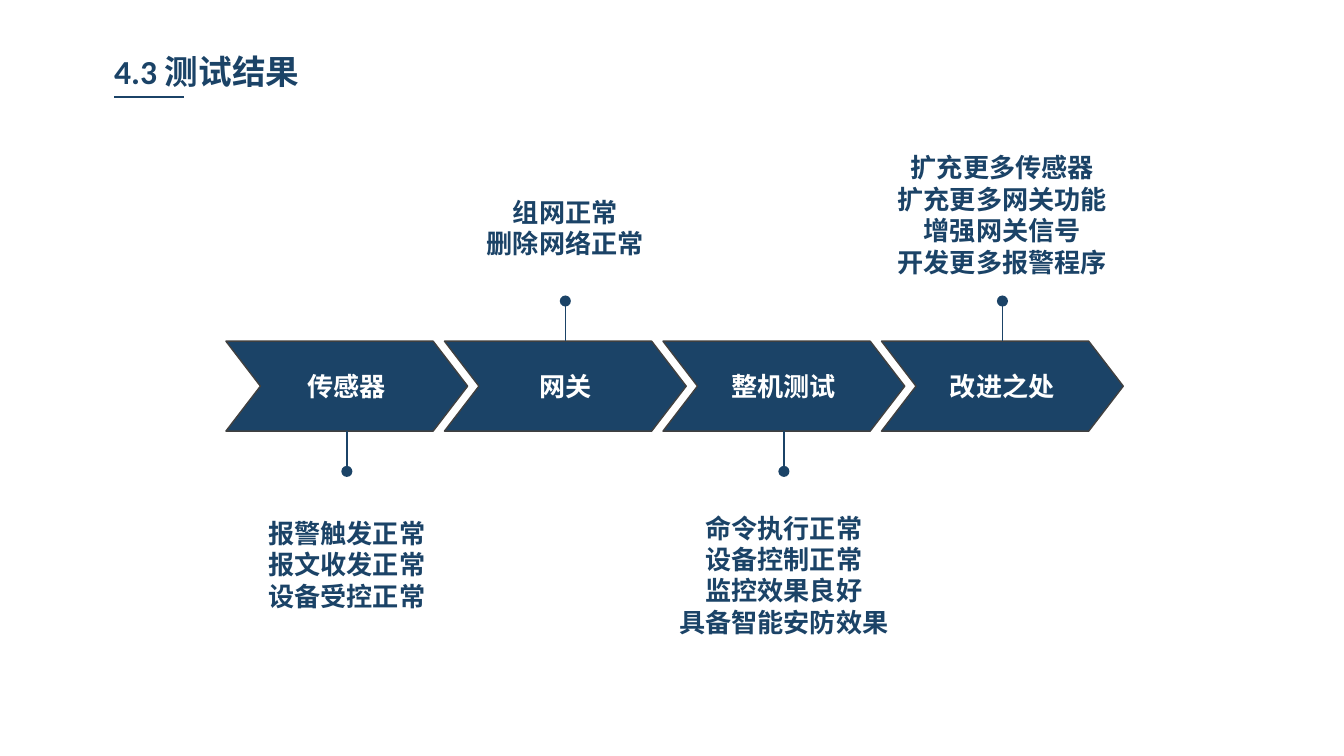
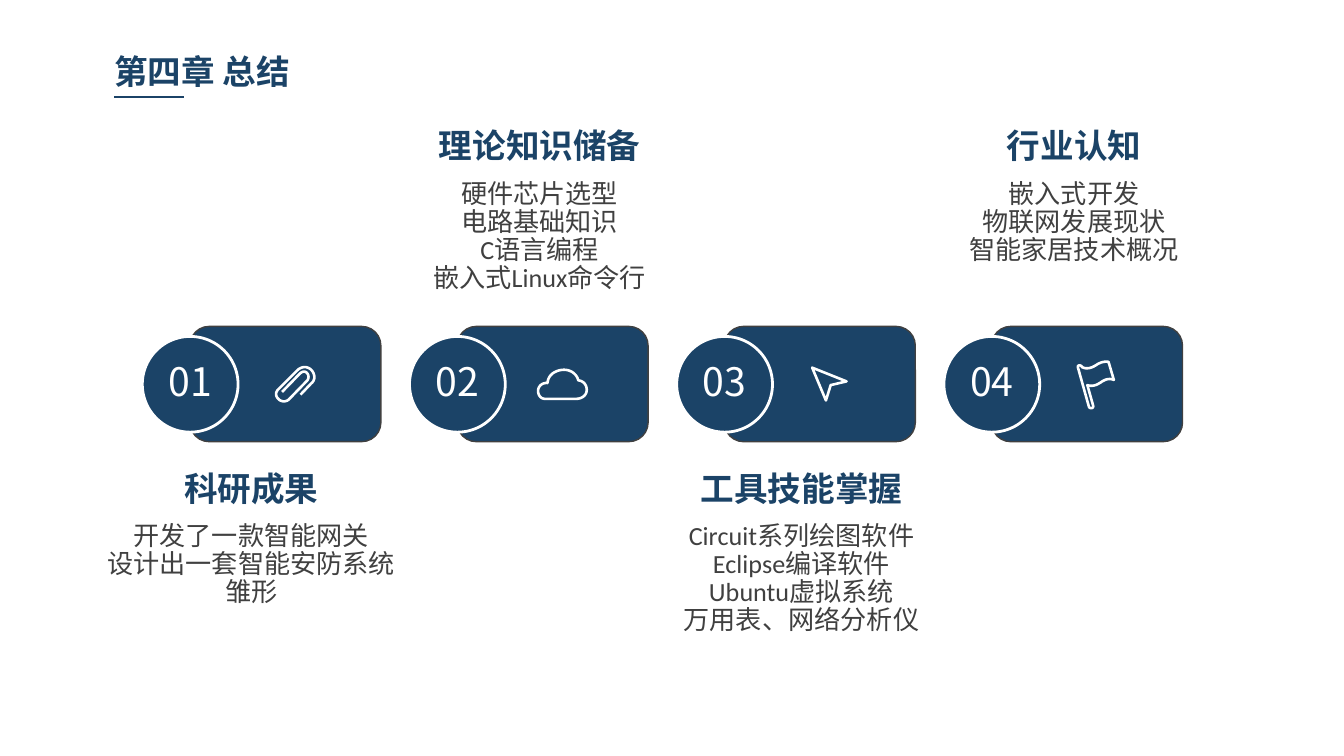
import pptx
import pptx.util
import pptx.dml.color
import pptx.enum.shapes
import pptx.enum.text
import pptx.oxml.ns
import lxml.etree
from collections import namedtuple

Cm = pptx.util.Cm
Pt = pptx.util.Pt
SHAPE = pptx.enum.shapes.MSO_SHAPE
ALIGN = pptx.enum.text.PP_ALIGN

NAVY, GRAY, WHITE = "1B4367", "404040", "FFFFFF"
LATIN, CJK = "Calibri", "Noto Sans CJK SC"
INSET_X, INSET_Y = 0.18, 0.1

Box = namedtuple("Box", "left top width height")
Result = namedtuple("Result", "label lines above text_top text_height")
Topic = namedtuple("Topic", "heading lines above center rows icon")
# An icon starts at a point; each step is a line (1 point) or a curve (3 points), in 0.01 cm.
Icon = namedtuple("Icon", "left top start steps closed")

TITLE_BOX = Box(1.98, 0.86, 6.27, 0.97)
CHEVRON = Box(4.27, 6.45, 4.57, 1.7)
CHEVRON_PITCH = 4.13
CARD = Box(2.69, 6.17, 4.51, 2.18)
CARD_PITCH = 5.05

RESULTS = [
    Result("传感器", ["报警触发正常", "报文收发正常", "设备受控正常"], False, 9.68, 1.98),
    Result("网关", ["组网正常", "删除网络正常"], True, 3.61, 1.98),
    Result("整机测试", ["命令执行正常", "设备控制正常", "监控效果良好", "具备智能安防效果"],
           False, 9.58, 2.59),
    Result("改进之处", ["扩充更多传感器", "扩充更多网关功能", "增强网关信号", "开发更多报警程序"],
           True, 2.77, 2.59),
]

PAPERCLIP = Icon(2.49, 0.74, (50, 55), [
    [(70, 34)], [(79, 27), (77, 16), (71, 9)], [(64, 1), (52, 1), (44, 9)],
    [(9, 44)], [(2, 50), (2, 58), (9, 64)], [(14, 69), (23, 69), (28, 64)],
    [(62, 29)], [(66, 25), (66, 18), (62, 14)], [(58, 10), (53, 11), (48, 16)],
    [(15, 50)]], False)
CLOUD = Icon(2.41, 0.79, (15, 58), [
    [(8, 58), (2, 52), (2, 43)], [(2, 34), (10, 27), (20, 28)],
    [(20, 14), (34, 3), (51, 3)], [(64, 3), (75, 11), (78, 23)],
    [(88, 24), (94, 32), (94, 41)], [(94, 51), (85, 58), (74, 58)]], True)
CURSOR = Icon(2.51, 0.74, (5, 4), [[(70, 30)], [(40, 37)], [(31, 66)]], True)
FLAG = Icon(2.51, 0.64, (2, 13), [
    [(23, 88)], [(25, 92), (32, 91), (31, 86)], [(20, 47)],
    [(30, 50), (37, 47), (45, 42)], [(52, 37), (60, 33), (70, 37)],
    [(60, 3)], [(50, 1), (41, 6), (35, 10)], [(27, 15), (18, 17), (10, 13)],
    [(8, 8), (1, 9), (2, 13)]], True)

TOPICS = [
    Topic("科研成果", ["开发了一款智能网关", "设计出一套智能安防系统雏形"], False, 2.06, 3, PAPERCLIP),
    Topic("理论知识储备", ["硬件芯片选型", "电路基础知识", "C语言编程", "嵌入式Linux命令行"],
          True, 2.46, 4, CLOUD),
    Topic("工具技能掌握", ["Circuit系列绘图软件", "Eclipse编译软件", "Ubuntu虚拟系统", "万用表、网络分析仪"],
          False, 2.36, 4, CURSOR),
    Topic("行业认知", ["嵌入式开发", "物联网发展现状", "智能家居技术概况"], True, 2.46, 3, FLAG),
]


def rgb(value):
    return pptx.dml.color.RGBColor.from_string(value)


def lengths(box):
    return [Cm(value) for value in box]


def write(shape, lines, size, color, bold=False, align=ALIGN.CENTER, latin=LATIN,
          line_spacing=None):
    text_frame = shape.text_frame
    text_frame.margin_left = text_frame.margin_right = Cm(INSET_X)
    text_frame.margin_top = text_frame.margin_bottom = Cm(INSET_Y)
    text_frame.text = "\n".join(lines)
    for paragraph in text_frame.paragraphs:
        paragraph.alignment = align
        paragraph.line_spacing = line_spacing
        for run in paragraph.runs:
            run.font.size = Pt(size)
            run.font.bold = bold
            run.font.name = latin
            run.font.color.rgb = rgb(color)
            east_asian = lxml.etree.SubElement(run.font._element, pptx.oxml.ns.qn("a:ea"))
            east_asian.set("typeface", CJK)


def add_text(slide, box, lines, size, color, wrap=True, **style):
    shape = slide.shapes.add_textbox(*lengths(box))
    write(shape, lines, size, color, **style)
    shape.text_frame.word_wrap = wrap
    shape.text_frame.auto_size = pptx.enum.text.MSO_AUTO_SIZE.SHAPE_TO_FIT_TEXT


def add_centered_label(slide, center, top, height, lines, size):
    """Bold unwrapped text whose box is as wide as its longest line."""
    width = max(map(len, lines)) * size * 0.0353 + 0.42
    box = Box(center - width / 2, top, width, height)
    add_text(slide, box, lines, size, NAVY, wrap=False, bold=True)


def add_filled(shapes, preset, box, line_color=GRAY, line_width=0.75):
    shape = shapes.add_shape(preset, *lengths(box))
    shape.shadow.inherit = False
    shape.fill.solid()
    shape.fill.fore_color.rgb = rgb(NAVY)
    shape.line.color.rgb = rgb(line_color)
    shape.line.width = Pt(line_width)
    shape.text_frame.vertical_anchor = pptx.enum.text.MSO_ANCHOR.MIDDLE
    return shape


def add_line(slide, start, end, dot=False):
    connector = slide.shapes.add_connector(
        pptx.enum.shapes.MSO_CONNECTOR.STRAIGHT, *lengths(start + end))
    connector.line.color.rgb = rgb(NAVY)
    connector.line.width = Pt(0.75)
    if dot:
        tail = lxml.etree.SubElement(connector.line._get_or_add_ln(),
                                     pptx.oxml.ns.qn("a:tailEnd"))
        tail.set("type", "oval")
    lxml.etree.SubElement(connector._element.spPr, pptx.oxml.ns.qn("a:effectLst"))


def trace(icon, pieces=10):
    """Points along the outline, with each curve cut into short lines."""
    points = [icon.start]
    for step in icon.steps:
        if len(step) == 1:
            points += step
            continue
        controls = [points[-1]] + step
        for index in range(1, pieces + 1):
            t = index / pieces
            weights = ((1 - t) ** 3, 3 * t * (1 - t) ** 2, 3 * t * t * (1 - t), t ** 3)
            points.append(tuple(sum(weight * point[axis]
                                    for weight, point in zip(weights, controls))
                                for axis in (0, 1)))
    return points


def add_icon(shapes, icon, box):
    fineness = 10
    points = [(x * fineness, y * fineness) for x, y in trace(icon)]
    builder = shapes.build_freeform(*points[0], scale=Cm(0.01) / fineness)
    builder.add_line_segments(points[1:], close=icon.closed)
    shape = builder.convert_to_shape(Cm(box.left + icon.left), Cm(box.top + icon.top))
    shape.shadow.inherit = False
    shape.fill.background()
    shape.line.color.rgb = rgb(WHITE)
    shape.line.width = Pt(1.4)


def add_title(slide, title, box=TITLE_BOX):
    add_text(slide, box, [title], 18, NAVY, bold=True, align=ALIGN.LEFT)
    left, bottom = box.left + INSET_X, box.top + box.height
    add_line(slide, (left, bottom), (left + 1.32, bottom))


def add_result(slide, box, result):
    """One chevron with its pin and its findings."""
    chevron = add_filled(slide.shapes, SHAPE.CHEVRON, box)
    chevron.adjustments[0] = 0.384
    write(chevron, [result.label], 14, WHITE, bold=True)
    center = box.left + box.width / 2
    edge, direction = (box.top, -1) if result.above else (box.top + box.height, 1)
    add_line(slide, (center, edge), (center, edge + direction * 0.76), dot=True)
    add_centered_label(slide, center, result.text_top, result.text_height, result.lines, 14)


def add_topic(slide, box, number, topic):
    """One numbered card with its icon, heading and details."""
    shapes = slide.shapes.add_group_shape().shapes
    add_filled(shapes, SHAPE.ROUNDED_RECTANGLE,
               Box(box.left + 0.9, box.top, box.width - 0.9, box.height))
    circle = add_filled(shapes, SHAPE.OVAL, Box(box.left, box.top + 0.19, 1.81, 1.81),
                        WHITE, 1.5)
    write(circle, [f"{number:02}"], 21, WHITE, latin=CJK, line_spacing=0.9)
    circle.text_frame.word_wrap = False
    add_icon(shapes, topic.icon, box)

    center = box.left + topic.center
    heading_top = box.top - 3.91 if topic.above else box.top + 2.57
    add_centered_label(slide, center, heading_top, 0.97, [topic.heading], 18)
    width = 6.3
    details = Box(center - width / 2, heading_top + 1.05, width, topic.rows * 0.53 + 0.2)
    add_text(slide, details, topic.lines, 14, GRAY, line_spacing=Pt(15))


def add_results_slide(slide):
    add_title(slide, "4.3 测试结果")
    for index, result in enumerate(RESULTS):
        box = CHEVRON._replace(left=CHEVRON.left + index * CHEVRON_PITCH)
        add_result(slide, box, result)


def add_summary_slide(slide):
    add_title(slide, "第四章 总结")
    for index, topic in enumerate(TOPICS):
        box = CARD._replace(left=CARD.left + index * CARD_PITCH)
        add_topic(slide, box, index + 1, topic)


def main():
    presentation = pptx.Presentation()
    presentation.slide_width, presentation.slide_height = Cm(25.4), Cm(14.29)
    blank = presentation.slide_layouts[6]
    for fill_slide in (add_results_slide, add_summary_slide):
        fill_slide(presentation.slides.add_slide(blank))
    presentation.save("out.pptx")


if __name__ == "__main__":
    main()
